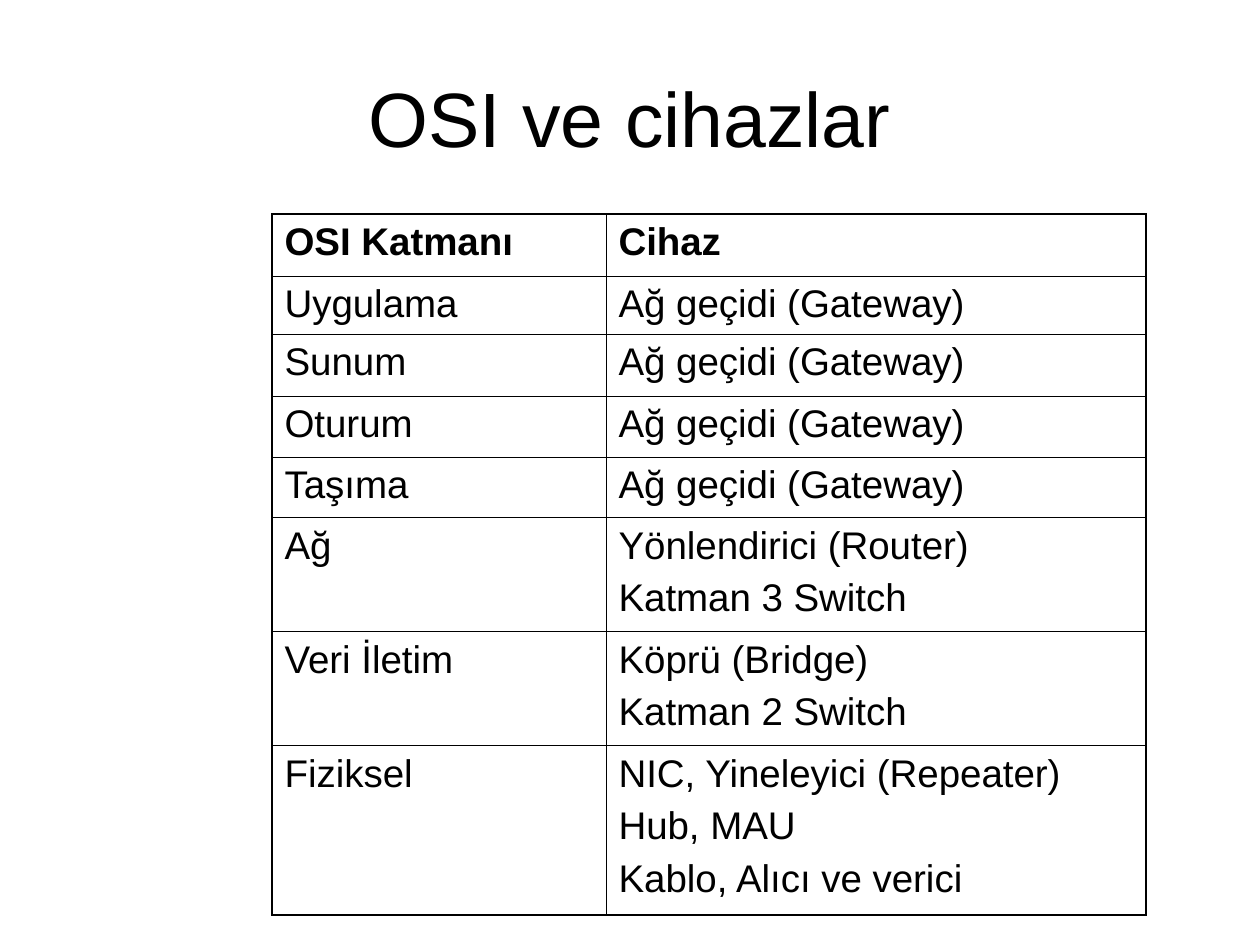
from lxml import etree
from pptx import Presentation
from pptx import util as u
from pptx.dml.color import RGBColor
from pptx.enum import text
from pptx.oxml.ns import qn

PX = 914400 // 126
FONT = "Arial"
BLACK = RGBColor(0x00, 0x00, 0x00)
OUTER_LINE = u.Pt(1.08)
INNER_LINE = u.Pt(0.45)

COLUMN_WIDTHS = [334, 540]
ROW_HEIGHTS = [62, 58, 62, 61, 61, 114, 114, 169]
GATEWAY = ["Ağ geçidi (Gateway)"]
LAYER_DEVICES = [
    ("OSI Katmanı", ["Cihaz"]),
    ("Uygulama", GATEWAY),
    ("Sunum", GATEWAY),
    ("Oturum", GATEWAY),
    ("Taşıma", GATEWAY),
    ("Ağ", ["Yönlendirici (Router)", "Katman 3 Switch"]),
    ("Veri İletim", ["Köprü (Bridge)", "Katman 2 Switch"]),
    ("Fiziksel", ["NIC, Yineleyici (Repeater)", "Hub, MAU", "Kablo, Alıcı ve verici"]),
]


def px(*lengths):
    return [u.Emu(length * PX) for length in lengths]


def write_text(frame, lines, size, bold=False, align=text.PP_ALIGN.LEFT, space_before=0):
    """Write one paragraph per line, spaced from the second one on."""
    for index, line in enumerate(lines):
        paragraph = frame.add_paragraph() if index else frame.paragraphs[0]
        paragraph.alignment = align
        paragraph.space_before = u.Pt(space_before if index else 0)
        run = paragraph.add_run()
        run.text = line
        run.font.name = FONT
        run.font.size = u.Pt(size)
        run.font.bold = bold
        run.font.color.rgb = BLACK


def add_border(cell, side, width):
    line = etree.SubElement(cell._tc.get_or_add_tcPr(), qn(f"a:ln{side}"), w=str(int(width)))
    fill = etree.SubElement(line, qn("a:solidFill"))
    etree.SubElement(fill, qn("a:srgbClr"), val=str(BLACK))


def place_title(slide, left, top, width, height):
    title = slide.shapes.title
    title.left, title.top, title.width, title.height = px(left, top, width, height)
    title.text_frame.vertical_anchor = text.MSO_ANCHOR.MIDDLE
    write_text(title.text_frame, ["OSI ve cihazlar"], 44, align=text.PP_ALIGN.CENTER)


def place_device_table(slide, left, top):
    row_count, column_count = len(ROW_HEIGHTS), len(COLUMN_WIDTHS)
    box = px(left, top, sum(COLUMN_WIDTHS), sum(ROW_HEIGHTS))
    table = slide.shapes.add_table(row_count, column_count, *box).table
    table.first_row = table.horz_banding = False
    for column, width in zip(table.columns, px(*COLUMN_WIDTHS)):
        column.width = width
    for row, height in zip(table.rows, px(*ROW_HEIGHTS)):
        row.height = height

    for row, (layer, devices) in enumerate(LAYER_DEVICES):
        for column, lines in enumerate([[layer], devices]):
            cell = table.cell(row, column)
            write_text(cell.text_frame, lines, 22, bold=row == 0, space_before=5.5)
            outer_sides = {
                "L": column == 0,
                "R": column == column_count - 1,
                "T": row == 0,
                "B": row == row_count - 1,
            }
            for side, is_outer in outer_sides.items():
                add_border(cell, side, OUTER_LINE if is_outer else INNER_LINE)
            cell.fill.background()


def main():
    presentation = Presentation()
    presentation.slide_width, presentation.slide_height = u.Inches(10), u.Inches(7.5)
    slide = presentation.slides.add_slide(presentation.slide_layouts.get_by_name("Title Only"))
    place_title(slide, 63, 38, 1134, 157)
    place_device_table(slide, 272, 214)
    presentation.save("out.pptx")


if __name__ == "__main__":
    main()
